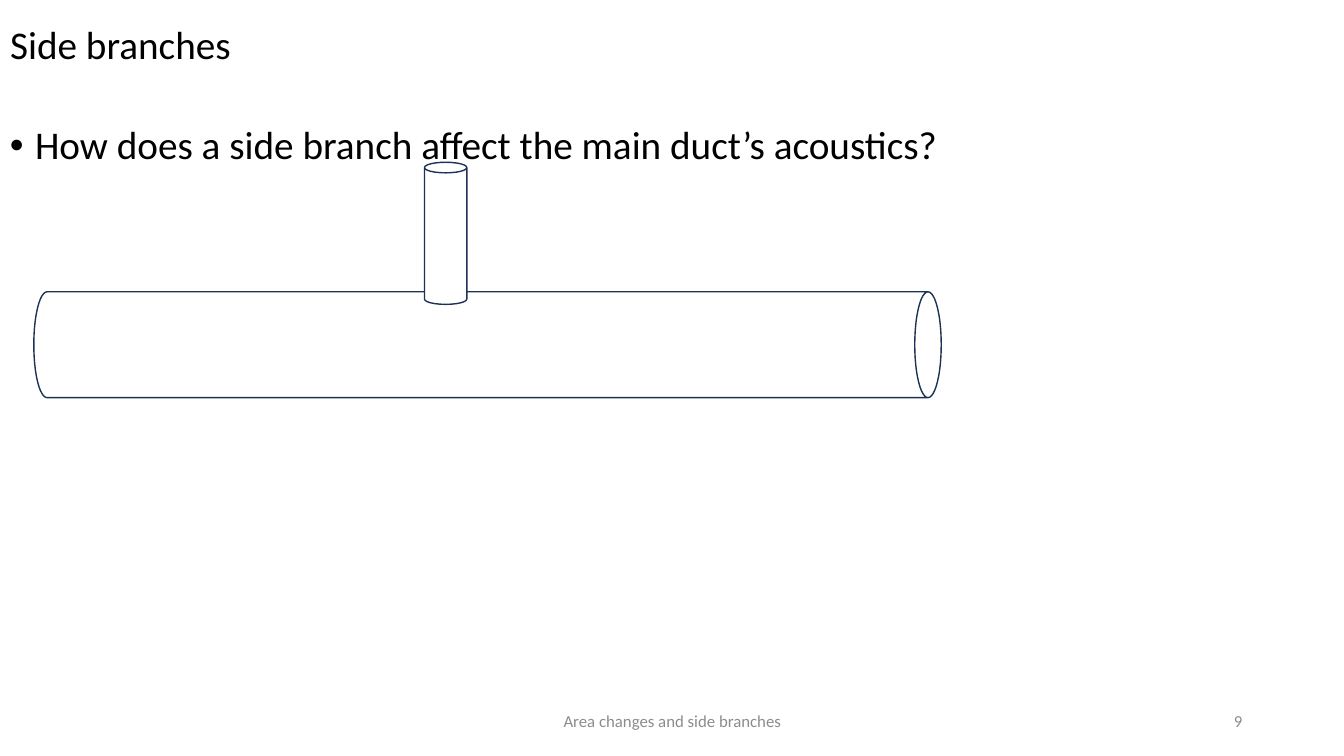
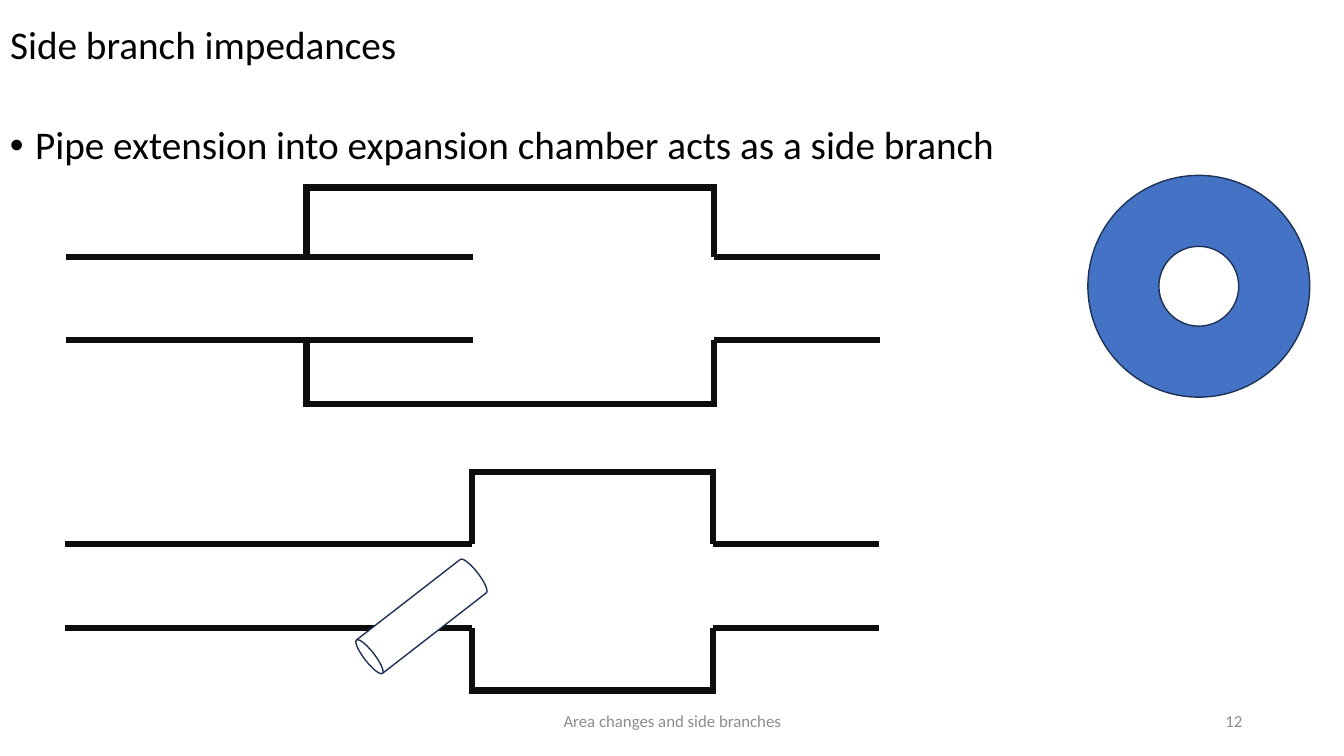
from lxml import etree
from pptx import Presentation
from pptx.dml.color import RGBColor
from pptx.enum.shapes import MSO_CONNECTOR as Connector, MSO_SHAPE as Preset
from pptx.enum.text import MSO_ANCHOR as Anchor, PP_ALIGN as Align
from pptx.oxml.ns import qn
from pptx.util import Inches, Pt

WIDTH, HEIGHT = 13.33, 7.5
FONT = "Calibri"
BLACK, GREY, WHITE = "000000", "8C8C8C", "FFFFFF"
WALL, OUTLINE, BLUE = "0D0D0D", "1E3256", "4472C4"
WALL_POINTS = 4.5
TITLE_BOX = (0, 0, WIDTH, 0.93)
BODY_BOX = (0, 1.2, 11.5, 5.51)
FOOTER_BOX = (4.42, 6.95, 4.5, 0.4)
NUMBER_BOX = (9.42, 6.95, 3, 0.4)
FOOTER = "Area changes and side branches"


def rgb(color):
    return RGBColor.from_string(color)


def place(shape, box):
    shape.left, shape.top, shape.width, shape.height = map(Inches, box)


def write(shape, text, size, color, align=Align.LEFT, anchor=Anchor.MIDDLE,
          spacing=1.0, bullet=False):
    frame = shape.text_frame
    frame.word_wrap = True
    frame.vertical_anchor = anchor
    frame.text = text
    paragraph = frame.paragraphs[0]
    paragraph.alignment = align
    paragraph.line_spacing = spacing
    if bullet:
        properties = paragraph._p.get_or_add_pPr()
        properties.set("marL", str(Inches(0.25)))
        properties.set("indent", str(-Inches(0.25)))
        font = etree.SubElement(properties, qn("a:buFont"))
        font.set("typeface", "Arial")
        etree.SubElement(properties, qn("a:buChar")).set("char", "•")
    paragraph.font.name = FONT
    paragraph.font.size = Pt(size)
    paragraph.font.color.rgb = rgb(color)


def add_text(slide, box, *content, **style):
    write(slide.shapes.add_textbox(*map(Inches, box)), *content, **style)


def add_outlined(slide, preset, box, fill=WHITE, rotation=0):
    shape = slide.shapes.add_shape(preset, *map(Inches, box))
    shape.shadow.inherit = False
    shape.rotation = rotation
    shape.fill.solid()
    shape.fill.fore_color.rgb = rgb(fill)
    shape.line.color.rgb = rgb(OUTLINE)
    shape.line.width = Pt(1)


def add_wall(slide, x1, y1, x2, y2):
    line = slide.shapes.add_connector(
        Connector.STRAIGHT, *map(Inches, (x1, y1, x2, y2)))
    line.line.color.rgb = rgb(WALL)
    line.line.width = Pt(WALL_POINTS)
    etree.SubElement(line._element.spPr, qn("a:effectLst"))


def add_content_slide(presentation, title, question, number):
    """Title, one bullet, footer and slide number."""
    slide = presentation.slides.add_slide(presentation.slide_layouts[5])
    place(slide.shapes.title, TITLE_BOX)
    write(slide.shapes.title, title, 28, BLACK, spacing=0.9)
    add_text(slide, BODY_BOX, question, 28, BLACK, anchor=Anchor.TOP,
             spacing=0.9, bullet=True)
    add_text(slide, FOOTER_BOX, FOOTER, 12, GREY, align=Align.CENTER)
    add_text(slide, NUMBER_BOX, number, 12, GREY, align=Align.RIGHT)
    return slide


def add_chamber(slide, box, entry, duct_top):
    """Expansion chamber; entry and duct_top are percentages of the box."""
    left, top, width, height = box
    start, chamber_left, inlet_end, chamber_right, end = (
        left + width * share / 100 for share in (0, entry, 50, 79.6, 100))
    upper, lower = (
        top + height * share / 100 for share in (duct_top, duct_top + 38.5))
    overlap = WALL_POINTS / 72 / 2
    for duct, outer, outward in ((upper, top, -overlap),
                                 (lower, top + height, overlap)):
        add_wall(slide, start, duct, inlet_end, duct)
        add_wall(slide, chamber_left, outer, chamber_right, outer)
        add_wall(slide, chamber_right, duct, end, duct)
        for side in (chamber_left, chamber_right):
            add_wall(slide, side, duct, side, outer + outward)


def add_ring(slide, box):
    """Annular cross-section around the inner pipe."""
    left, top, size, _ = box
    hole = size * 0.36
    inset = (size - hole) / 2
    add_outlined(slide, Preset.OVAL, box, fill=BLUE)
    add_outlined(slide, Preset.OVAL, (left + inset, top + inset, hole, hole))


def main():
    presentation = Presentation()
    presentation.slide_width = Inches(WIDTH)
    presentation.slide_height = Inches(HEIGHT)

    # Main duct with its side branch
    slide = add_content_slide(
        presentation, "Side branches",
        "How does a side branch affect the main duct’s acoustics?", "9")
    add_outlined(slide, Preset.CAN, (4.31, -1.08, 1.05, 9), rotation=90)
    add_outlined(slide, Preset.CAN, (4.21, 1.61, 0.42, 1.41))

    # Extended inlet above, equivalent side branch below
    slide = add_content_slide(
        presentation, "Side branch impedances",
        "Pipe extension into expansion chamber acts as a side branch", "12")
    add_chamber(slide, (0.65, 1.86, 8.08, 2.15), entry=29.6, duct_top=32)
    add_chamber(slide, (0.64, 4.68, 8.08, 2.17), entry=50, duct_top=33)
    add_outlined(slide, Preset.CAN, (3.97, 5.41, 0.42, 1.41), rotation=232.2)
    add_ring(slide, (10.79, 1.74, 2.2, 2.2))

    presentation.save("out.pptx")


if __name__ == "__main__":
    main()
